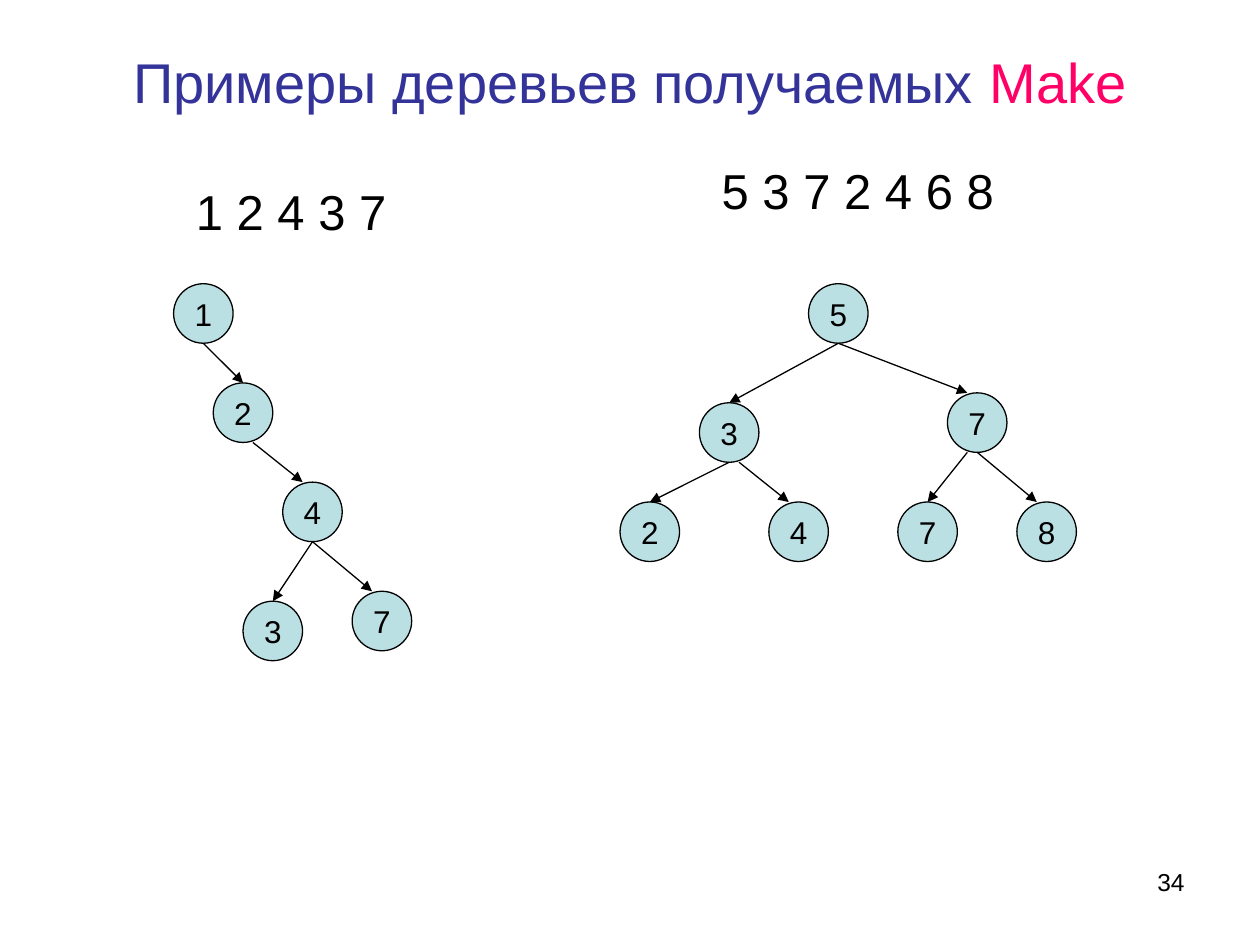
from lxml import etree
from pptx import Presentation
from pptx.dml.color import RGBColor
from pptx.enum.shapes import MSO_CONNECTOR as LINE, MSO_SHAPE as SHAPE
from pptx.enum.text import MSO_ANCHOR as ANCHOR, PP_ALIGN as ALIGN
from pptx.oxml.ns import qn
from pptx.util import Cm, Pt

HUES = {"title": "333399", "mark": "FF0066", "ink": "000000", "node": "BBE0E3"}
FONT = "Arial"
SIDE = 1.2  # node diameter, cm

# Nodes: label, left, top; edges: parent, child, shift of start, shift of end
LEFT = (
    [("1", 0, 0), ("2", 0.8, 2), ("4", 2.2, 4), ("3", 1.4, 6.4), ("7", 3.6, 6.2)],
    [(0, 1, 0, 0), (1, 2, 0.2, -0.2), (2, 3, 0, 0), (2, 4, 0, -0.2)],
)
RIGHT = (
    [("5", 3.8, 0), ("3", 1.6, 2.4), ("7", 6.6, 2.2),
     ("2", 0, 4.4), ("4", 3, 4.4), ("7", 5.6, 4.4), ("8", 8, 4.4)],
    [(0, 1, 0, 0), (0, 2, 0, -0.2), (1, 3, 0, 0), (1, 4, 0.2, -0.2),
     (2, 5, -0.2, 0), (2, 6, 0, -0.2)],
)


def hue(name):
    return RGBColor.from_string(HUES[name])


def write(frame, runs, size, align=ALIGN.LEFT, anchor=ANCHOR.TOP, wrap=True):
    frame.word_wrap = wrap
    frame.vertical_anchor = anchor
    para = frame.paragraphs[0]
    para.alignment = align
    for text, tone in runs:
        run = para.add_run()
        run.text = text
        run.font.name = FONT
        run.font.size = Pt(size)
        run.font.color.rgb = hue(tone)


def add_text(slide, box, runs, size, **style):
    area = slide.shapes.add_textbox(*map(Cm, box))
    write(area.text_frame, runs, size, **style)


def add_node(slide, label, x, y):
    node = slide.shapes.add_shape(SHAPE.OVAL, Cm(x), Cm(y), Cm(SIDE), Cm(SIDE))
    node.shadow.inherit = False
    node.fill.solid()
    node.fill.fore_color.rgb = hue("node")
    node.line.color.rgb = hue("ink")
    node.line.width = Pt(0.75)
    write(node.text_frame, [(label, "ink")], 18, ALIGN.CENTER, ANCHOR.MIDDLE, False)
    return node


def add_arrow(slide, start, end):
    arrow = slide.shapes.add_connector(LINE.STRAIGHT, *map(Cm, start + end))
    arrow.line.color.rgb = hue("ink")
    arrow.line.width = Pt(0.75)
    etree.SubElement(arrow.line._get_or_add_ln(), qn("a:tailEnd"), type="triangle")
    etree.SubElement(arrow._element.spPr, qn("a:effectLst"))
    return arrow


def add_tree(slide, left, top, tree):
    nodes, edges = tree
    spots = [(left + x, top + y) for _, x, y in nodes]
    ovals = [add_node(slide, node[0], *spot) for node, spot in zip(nodes, spots)]
    for up, down, out, into in edges:
        (x1, y1), (x2, y2) = spots[up], spots[down]
        arrow = add_arrow(slide, (x1 + SIDE / 2 + out, y1 + SIDE),
                          (x2 + SIDE / 2 + into, y2))
        if into == 0:
            arrow.end_connect(ovals[down], 0)


def main():
    deck = Presentation()
    deck.slide_width, deck.slide_height = Cm(25.4), Cm(19.05)
    slide = deck.slides.add_slide(deck.slide_layouts[6])

    # Title
    add_text(slide, (1.27, 0.76, 22.86, 1.75),
             [("Примеры деревьев получаемых ", "title"), ("Make", "mark")], 32,
             align=ALIGN.CENTER, anchor=ANCHOR.MIDDLE)

    # Input sequences
    add_text(slide, (3.7, 3.54, 5.6, 1.44), [("1 2 4 3 7", "ink")], 28)
    add_text(slide, (14.3, 3.12, 7, 1.44), [("5 3 7 2 4 6 8", "ink")], 28)

    # Trees
    add_tree(slide, 3.5, 5.72, LEFT)
    add_tree(slide, 12.5, 5.72, RIGHT)

    # Page number
    add_text(slide, (18.2, 17.35, 5.93, 1.32), [("34", "ink")], 14, align=ALIGN.RIGHT)

    deck.save("out.pptx")


if __name__ == "__main__":
    main()
